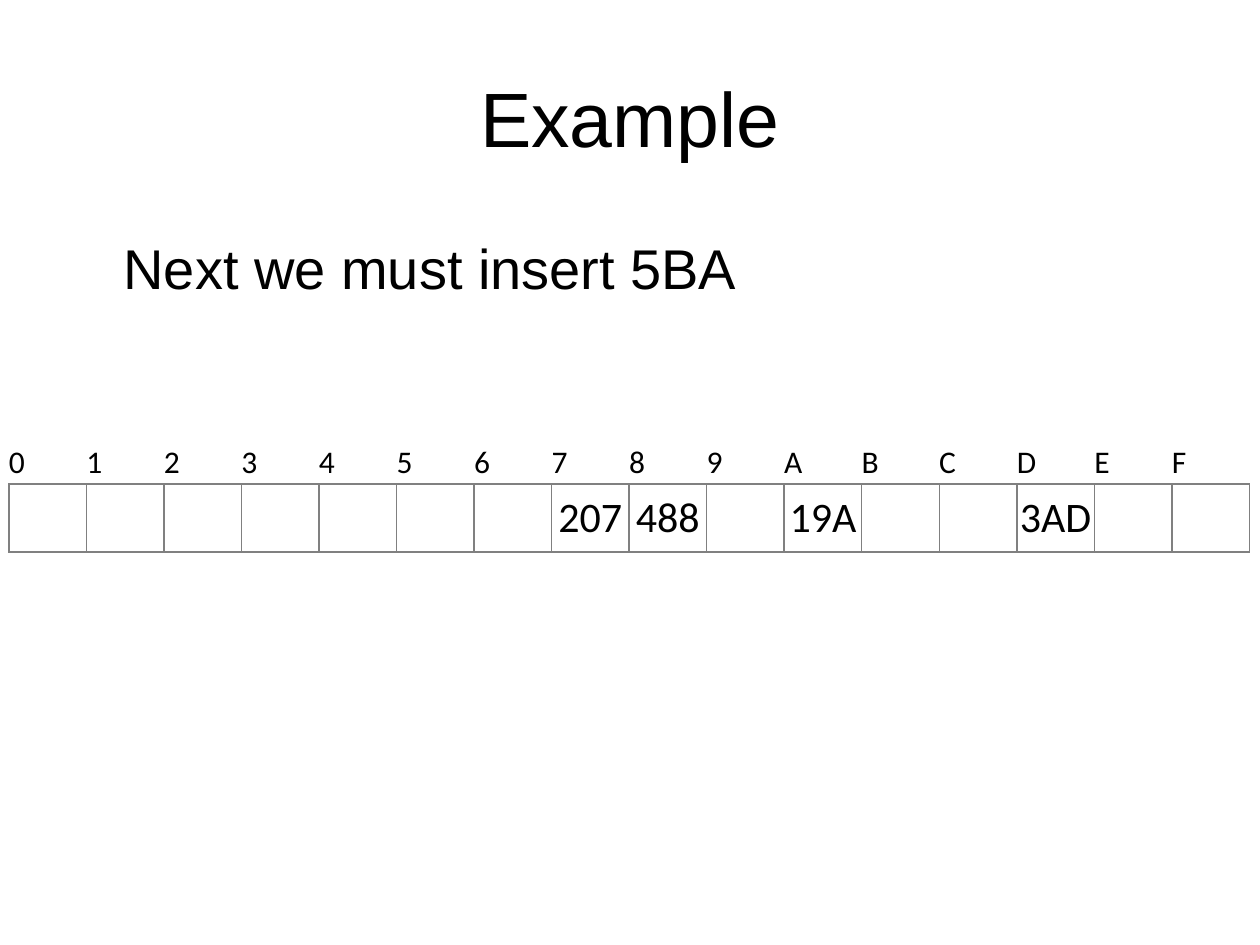
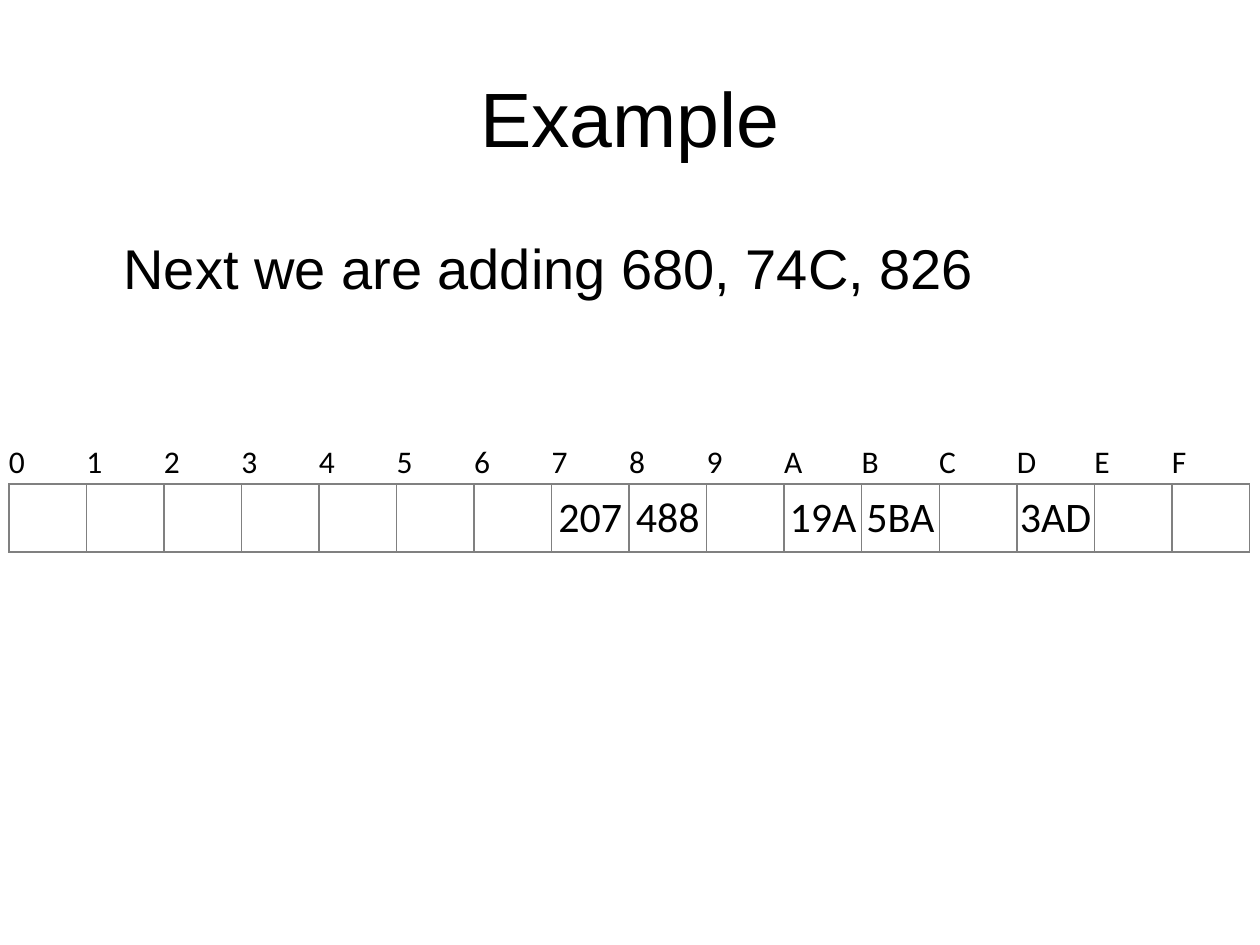
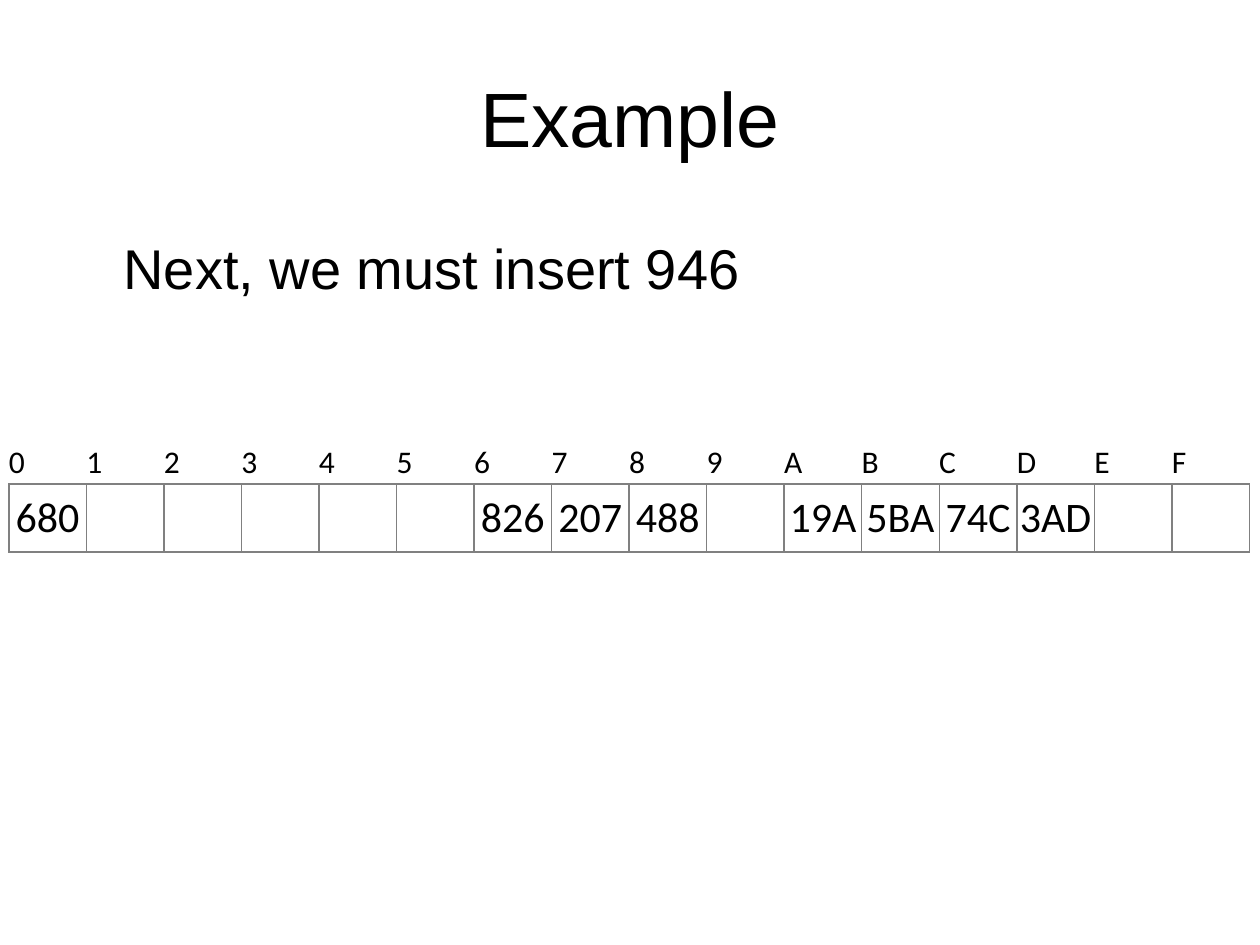
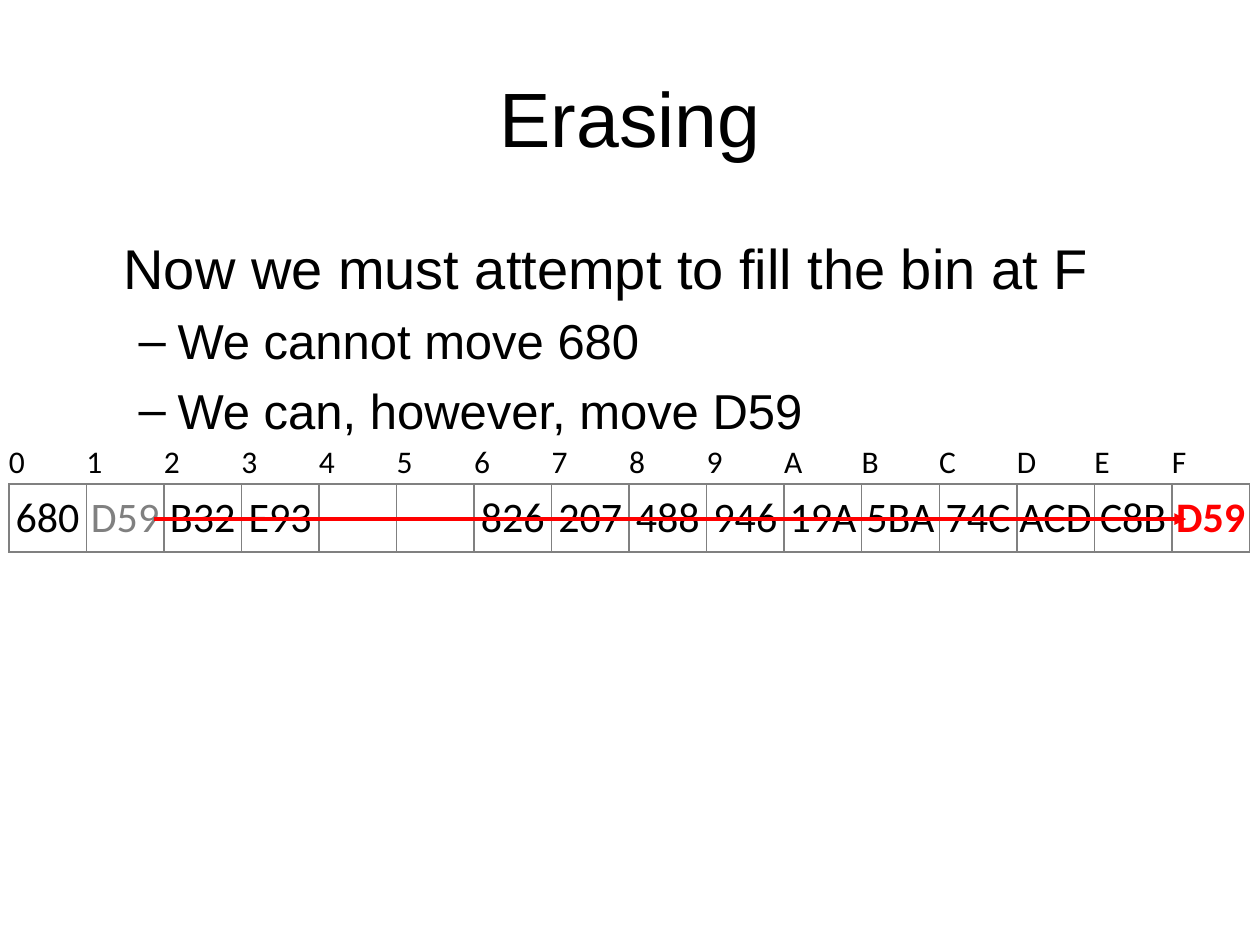
import pptx
import pptx.dml.color
import pptx.enum.dml
import pptx.enum.shapes
import pptx.enum.text
import pptx.oxml.ns
import pptx.util
from lxml import etree

Inches = pptx.util.Inches
Pt = pptx.util.Pt
ALIGN = pptx.enum.text.PP_ALIGN
MIDDLE = pptx.enum.text.MSO_ANCHOR.MIDDLE

BLACK, GRAY, RED, WHITE = "000000", "808080", "FF0000", "FFFFFF"
TITLE_BOX = (0.5, 0.3, 9, 1.25)
BODY_BOX = (0.5, 1.75, 9, 4.95)
BINS_BOX = (0.07, 3.51, 9.85, 0.87)
INDEX_HEIGHT = 0.33
BIN_LABELS = "0123456789ABCDEF"
PLAIN_TABLE_STYLE = "{2D5ABB26-0587-4C30-8999-92F81FD0307C}"

TITLE_FONT = {"name": "Arial", "size": Pt(44), "bold": False}
BODY_LEVELS = [
    {"font": {"name": "Arial", "size": Pt(32)}, "margin": 0.38, "hang": 0, "bullet": None},
    {"font": {"name": "Arial", "size": Pt(28)}, "margin": 0.81, "hang": 0.31, "bullet": "–"},
]
INDEX_FONT = {"name": "Calibri", "size": Pt(18), "bold": False}
KEY_FONT = {"name": "Calibri", "size": Pt(24), "bold": False}

SLIDES = [
    {
        "title": "Example",
        "lines": [(0, "Next we must insert 5BA")],
        "bins": {"7": "207", "8": "488", "A": "19A", "D": "3AD"},
    },
    {
        "title": "Example",
        "lines": [(0, "Next we are adding 680, 74C, 826")],
        "bins": {"7": "207", "8": "488", "A": "19A", "B": "5BA", "D": "3AD"},
    },
    {
        "title": "Example",
        "lines": [(0, "Next, we must insert 946")],
        "bins": {"0": "680", "6": "826", "7": "207", "8": "488",
                 "A": "19A", "B": "5BA", "C": "74C", "D": "3AD"},
    },
    {
        "title": "Erasing",
        "lines": [
            (0, "Now we must attempt to fill the bin at F"),
            (1, "We cannot move 680"),
            (1, "We can, however, move D59"),
        ],
        "bins": {"0": "680", "1": "D59", "2": "B32", "3": "E93", "6": "826",
                 "7": "207", "8": "488", "9": "946", "A": "19A", "B": "5BA",
                 "C": "74C", "D": "ACD", "E": "C8B", "F": "D59"},
        "move": ("1", "F"),
    },
]


def rgb(color):
    return pptx.dml.color.RGBColor.from_string(color)


def sub(parent, tag, **attributes):
    return etree.SubElement(parent, pptx.oxml.ns.qn(tag), attributes)


def set_values(target, values):
    for name, value in values.items():
        setattr(target, name, value)


def write(paragraph, text, font, color=BLACK):
    run = paragraph.add_run()
    run.text = text
    set_values(run.font, font)
    run.font.color.rgb = rgb(color)


def place(holder, box):
    for name, length in zip(("left", "top", "width", "height"), box):
        setattr(holder, name, Inches(length))


def add_title(slide, box, text):
    title = slide.shapes.title
    place(title, box)
    set_values(title.text_frame, {
        "vertical_anchor": MIDDLE,
        "auto_size": pptx.enum.text.MSO_AUTO_SIZE.NONE,
    })
    heading = title.text_frame.paragraphs[0]
    heading.alignment = ALIGN.CENTER
    write(heading, text, TITLE_FONT)


def add_body(slide, box, lines):
    body = slide.placeholders[1]
    place(body, box)
    frame = body.text_frame
    set_values(frame, {
        "margin_top": Inches(0.1),
        "auto_size": pptx.enum.text.MSO_AUTO_SIZE.NONE,
    })
    for number, (level, text) in enumerate(lines):
        line = frame.add_paragraph() if number else frame.paragraphs[0]
        style = BODY_LEVELS[level]
        set_values(line, {"level": level, "space_before": Pt(6 if number else 0)})
        properties = line._p.get_or_add_pPr()
        properties.set("marL", str(Inches(style["margin"])))
        properties.set("indent", str(-Inches(style["hang"])))
        if style["bullet"]:
            sub(properties, "a:buChar", char=style["bullet"])
        else:
            sub(properties, "a:buNone")
        write(line, text, style["font"])


def set_borders(cell, sides):
    properties = cell._tc.get_or_add_tcPr()
    for side in sides:
        border = sub(properties, f"a:ln{side}", w=str(Pt(1)))
        sub(sub(border, "a:solidFill"), "a:srgbClr", val=GRAY)


def fill_cell(cell, text, font, sides, color=BLACK, align=ALIGN.LEFT):
    set_values(cell, {
        "margin_left": 0, "margin_right": 0, "margin_top": 0, "margin_bottom": 0,
        "vertical_anchor": MIDDLE,
    })
    set_borders(cell, sides)
    cell.fill.background()
    if text:
        entry = cell.text_frame.paragraphs[0]
        entry.alignment = align
        write(entry, text, font, color)


def add_bins(slide, box, bins, move):
    left, top, width, height = box
    frame = slide.shapes.add_table(2, len(BIN_LABELS), *map(Inches, box))
    hash_table = frame.table
    set_values(hash_table, {"first_row": False, "horz_banding": False})
    style_id = hash_table._tbl.tblPr.find(pptx.oxml.ns.qn("a:tableStyleId"))
    style_id.text = PLAIN_TABLE_STYLE
    for row, row_height in zip(hash_table.rows, (INDEX_HEIGHT, height - INDEX_HEIGHT)):
        row.height = Inches(row_height)
    source, target = move or (None, None)
    for column, label in enumerate(BIN_LABELS):
        hash_table.columns[column].width = Inches(width / len(BIN_LABELS))
        color = {source: GRAY, target: RED}.get(label, BLACK)
        key_font = {**KEY_FONT, "bold": label == target}
        fill_cell(hash_table.cell(0, column), label, INDEX_FONT, "B")
        fill_cell(hash_table.cell(1, column), bins.get(label), key_font,
                  "LRTB", color, ALIGN.CENTER)


def add_move_arrow(slide, box, move):
    left, top, width, height = box
    step = width / len(BIN_LABELS)
    source, target = (BIN_LABELS.index(label) for label in move)
    start = left + (source + 1) * step - 0.08
    end = left + target * step + 0.11
    middle = top + (INDEX_HEIGHT + height) / 2 + 0.01
    arrow = slide.shapes.add_connector(
        pptx.enum.shapes.MSO_CONNECTOR.STRAIGHT,
        Inches(start), Inches(middle), Inches(end), Inches(middle))
    arrow.line.color.rgb = rgb(RED)
    arrow.line.width = Pt(2.25)
    sub(arrow.line._get_or_add_ln(), "a:tailEnd", type="triangle")
    sub(arrow._element.spPr, "a:effectLst")


def add_hash_slide(deck, content):
    slide = deck.slides.add_slide(deck.slide_layouts[1])
    slide.background.fill.solid()
    slide.background.fill.fore_color.rgb = rgb(WHITE)
    move = content.get("move")
    add_title(slide, TITLE_BOX, content["title"])
    add_body(slide, BODY_BOX, content["lines"])
    add_bins(slide, BINS_BOX, content["bins"], move)
    if move:
        add_move_arrow(slide, BINS_BOX, move)


def main():
    deck = pptx.Presentation()
    deck.slide_width, deck.slide_height = Inches(10), Inches(7.5)
    for content in SLIDES:
        add_hash_slide(deck, content)
    deck.save("out.pptx")


if __name__ == "__main__":
    main()
